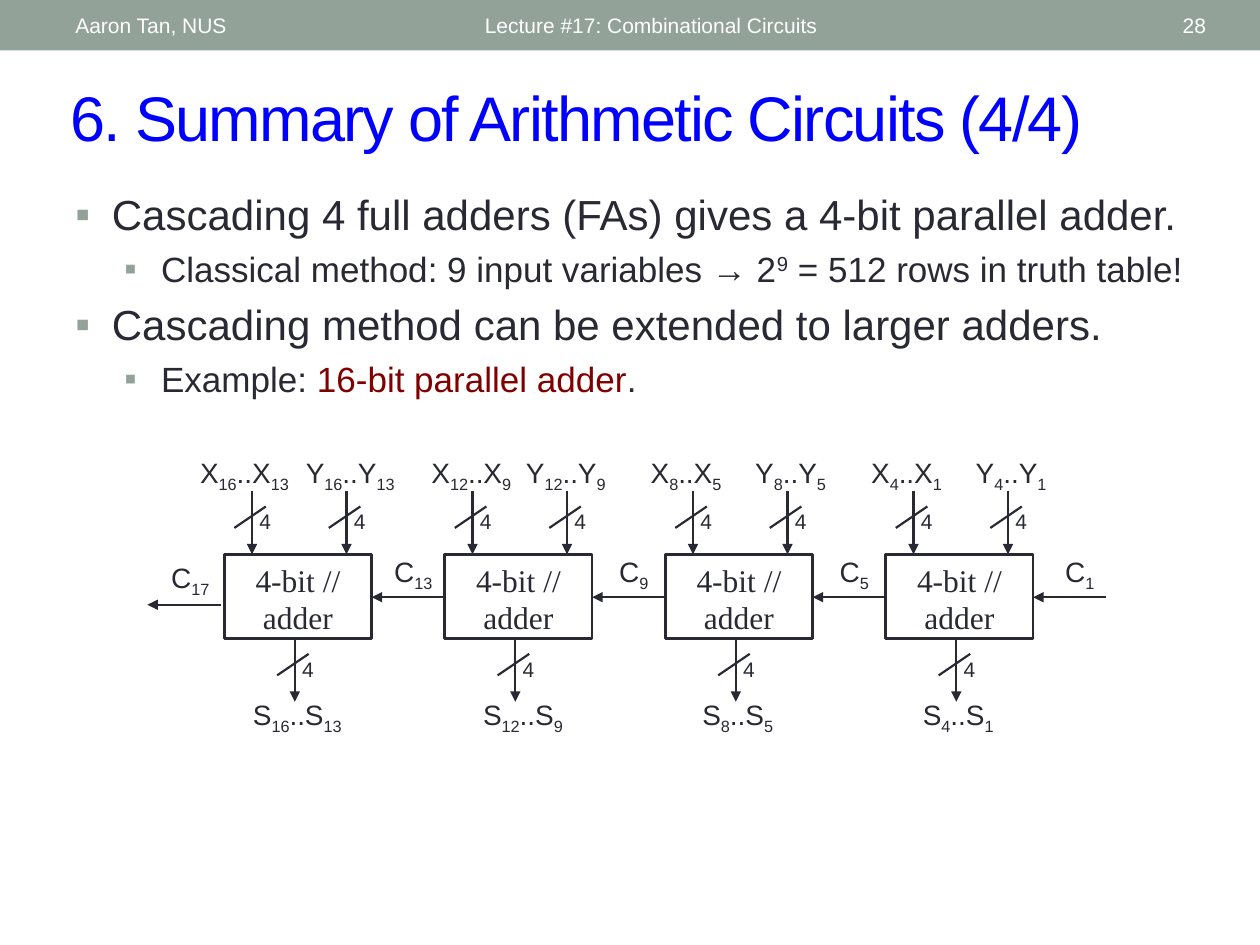
"""Build a slide on cascading four 4-bit adders into a 16-bit parallel adder."""
from lxml.etree import SubElement
from pptx import Presentation
from pptx.dml.color import RGBColor
from pptx.enum.shapes import MSO_CONNECTOR as Connector, MSO_SHAPE as Shape
from pptx.enum.text import MSO_ANCHOR as Anchor, PP_ALIGN as Align
from pptx.oxml.ns import qn
from pptx.util import Inches, Pt

INK = RGBColor(0x29, 0x29, 0x34)
SAGE = RGBColor(0x93, 0xA2, 0x99)
WHITE = RGBColor(0xFF, 0xFF, 0xFF)
BLUE = RGBColor(0x00, 0x00, 0xFF)
MAROON = RGBColor(0x80, 0x00, 0x00)

SUB, SUPER = -25000, 30000
FIRST_LEFT, STAGE_STEP = 1.78, 1.75
ADDER_TOP, ADDER_WIDTH, ADDER_HEIGHT = 4.4, 1.17, 0.67
ARROW_LENGTH = 0.5

HEADER = [
    ("Aaron Tan, NUS", 0.5, 3.17, Align.LEFT),
    ("Lecture #17: Combinational Circuits", 3.75, 4.5, Align.LEFT),
    ("28", 8.72, 0.95, Align.RIGHT),
]

BULLETS = [
    (0, [("Cascading 4 full adders (FAs) gives a 4-bit parallel adder.", INK, 0)]),
    (1, [("Classical method: 9 input variables \u2192 2", INK, 0), ("9", INK, SUPER),
         (" = 512 rows in truth table!", INK, 0)]),
    (0, [("Cascading method can be extended to larger adders.", INK, 0)]),
    (1, [("Example: ", INK, 0), ("16-bit parallel adder", MAROON, 0), (".", INK, 0)]),
]

# High bit, low bit, label width, then label offsets for X, Y, S and carry.
STAGES = [
    (16, 13, 1.0, -0.34, 0.5, 0.08, 1.21),
    (12, 9, 0.92, -0.25, 0.5, 0.16, 1.21),
    (8, 5, 0.83, -0.25, 0.58, 0.16, 1.21),
    (4, 1, 0.83, -0.25, 0.58, 0.16, 1.25),
]


def format_span(span, size, color, font="Arial", baseline=0):
    span.font.size = Pt(size)
    span.font.name = font
    span.font.color.rgb = color
    if baseline:
        span.font._element.set("baseline", str(baseline))


def add_spans(para, pieces, size):
    for text, color, baseline in pieces:
        span = para.add_run()
        span.text = text
        format_span(span, size, color, baseline=baseline)


def add_box(page, left, top, width, height, anchor=Anchor.TOP):
    box = page.shapes.add_textbox(Inches(left), Inches(top), Inches(width), Inches(height))
    box.text_frame.word_wrap = True
    box.text_frame.vertical_anchor = anchor
    return box


def add_text(page, text, left, top, width, height, size, color,
             align=Align.LEFT, anchor=Anchor.MIDDLE):
    para = add_box(page, left, top, width, height, anchor).text_frame.paragraphs[0]
    para.text = text
    para.alignment = align
    format_span(para.runs[0], size, color)
    return para.runs[0]


def add_rectangle(page, left, top, width, height):
    shape = page.shapes.add_shape(
        Shape.RECTANGLE, Inches(left), Inches(top), Inches(width), Inches(height))
    shape.shadow.inherit = False
    return shape


def add_line(page, start, end, arrow=False):
    line = page.shapes.add_connector(
        Connector.STRAIGHT, *(Inches(length) for length in (*start, *end)))
    line.line.color.rgb = INK
    line.line.width = Pt(1.25)
    if arrow:
        SubElement(line.line._get_or_add_ln(), qn("a:tailEnd"), type="triangle")
    SubElement(line._element.spPr, qn("a:effectLst"))


def add_signal(page, letter, bits, left, top, width):
    pieces = []
    for index, bit in enumerate(bits):
        pieces += [(f"..{letter}" if index else letter, INK, 0), (str(bit), INK, SUB)]
    para = add_box(page, left, top, width, 0.37).text_frame.paragraphs[0]
    para.alignment = Align.CENTER
    add_spans(para, pieces, 16)


def add_bus(page, x, top):
    add_line(page, (x, top), (x, top + ARROW_LENGTH), arrow=True)
    add_line(page, (x + 0.11, top + 0.12), (x - 0.14, top + 0.29))
    add_text(page, "4", x - 0.06, top + 0.09, 0.33, 0.3, 12, INK, Align.CENTER, Anchor.TOP)


def add_adder(page, left):
    adder = add_rectangle(page, left, ADDER_TOP, ADDER_WIDTH, ADDER_HEIGHT)
    adder.fill.background()
    adder.line.color.rgb = INK
    adder.line.width = Pt(1.5)
    frame = adder.text_frame
    frame.word_wrap = True
    frame.vertical_anchor = Anchor.TOP
    frame.text = "4-bit // adder"
    frame.paragraphs[0].alignment = Align.CENTER
    format_span(frame.paragraphs[0].runs[0], 18, INK, "Times New Roman")


def add_stage(page, left, stage):
    high, low, width, x_offset, y_offset, sum_offset, carry_offset = stage
    add_adder(page, left)
    add_signal(page, "X", (high, low), left + x_offset, 3.57, width)
    add_signal(page, "Y", (high, low), left + y_offset, 3.57, width)
    add_signal(page, "S", (high, low), left + sum_offset, 5.49, width)
    add_signal(page, "C", (low,), left + carry_offset, 4.35, 0.58)
    for offset in (0.22, 0.97):
        add_bus(page, left + offset, ADDER_TOP - ARROW_LENGTH)
    add_bus(page, left + 0.56, ADDER_TOP + ADDER_HEIGHT)
    add_line(page, (left + STAGE_STEP, 4.74), (left + ADDER_WIDTH, 4.74), arrow=True)


def add_header(page):
    band = add_rectangle(page, 0, 0, 10, 0.4)
    band.fill.solid()
    band.fill.fore_color.rgb = SAGE
    band.line.fill.background()
    for text, left, width, align in HEADER:
        add_text(page, text, left, 0.02, width, 0.36, 12, WHITE, align)


def add_bullets(page):
    frame = add_box(page, 0.5, 1.45, 9, 2.12).text_frame
    frame.margin_right = 0
    for index, (level, pieces) in enumerate(BULLETS):
        para = frame.add_paragraph() if index else frame.paragraphs[0]
        size = (24, 20)[level]
        para.level = level
        para.space_before = Pt(round(size * 0.23, 1))
        props = para._p.get_or_add_pPr()
        props.set("marL", str(Inches((0.29, 0.68)[level])))
        props.set("indent", str(Inches(-0.29)))
        SubElement(SubElement(props, qn("a:buClr")), qn("a:srgbClr"), val=str(SAGE))
        SubElement(props, qn("a:buFont"), typeface="Arial")
        SubElement(props, qn("a:buChar"), char="\u25aa")
        add_spans(para, pieces, size)


def main():
    deck = Presentation()
    deck.slide_width, deck.slide_height = Inches(10), Inches(7.5)
    page = deck.slides.add_slide(deck.slide_layouts[6])
    add_header(page)
    title = add_text(page, "6. Summary of Arithmetic Circuits (4/4)",
                     0.46, 0.57, 9.21, 0.7, 36, BLUE)
    title.font._element.set("spc", "-100")
    add_bullets(page)
    for index, stage in enumerate(STAGES):
        add_stage(page, FIRST_LEFT + index * STAGE_STEP, stage)
    add_line(page, (1.75, 4.8), (1.17, 4.8), arrow=True)
    add_signal(page, "C", (17,), 1.22, 4.4, 0.58)
    deck.save("out.pptx")


main()
